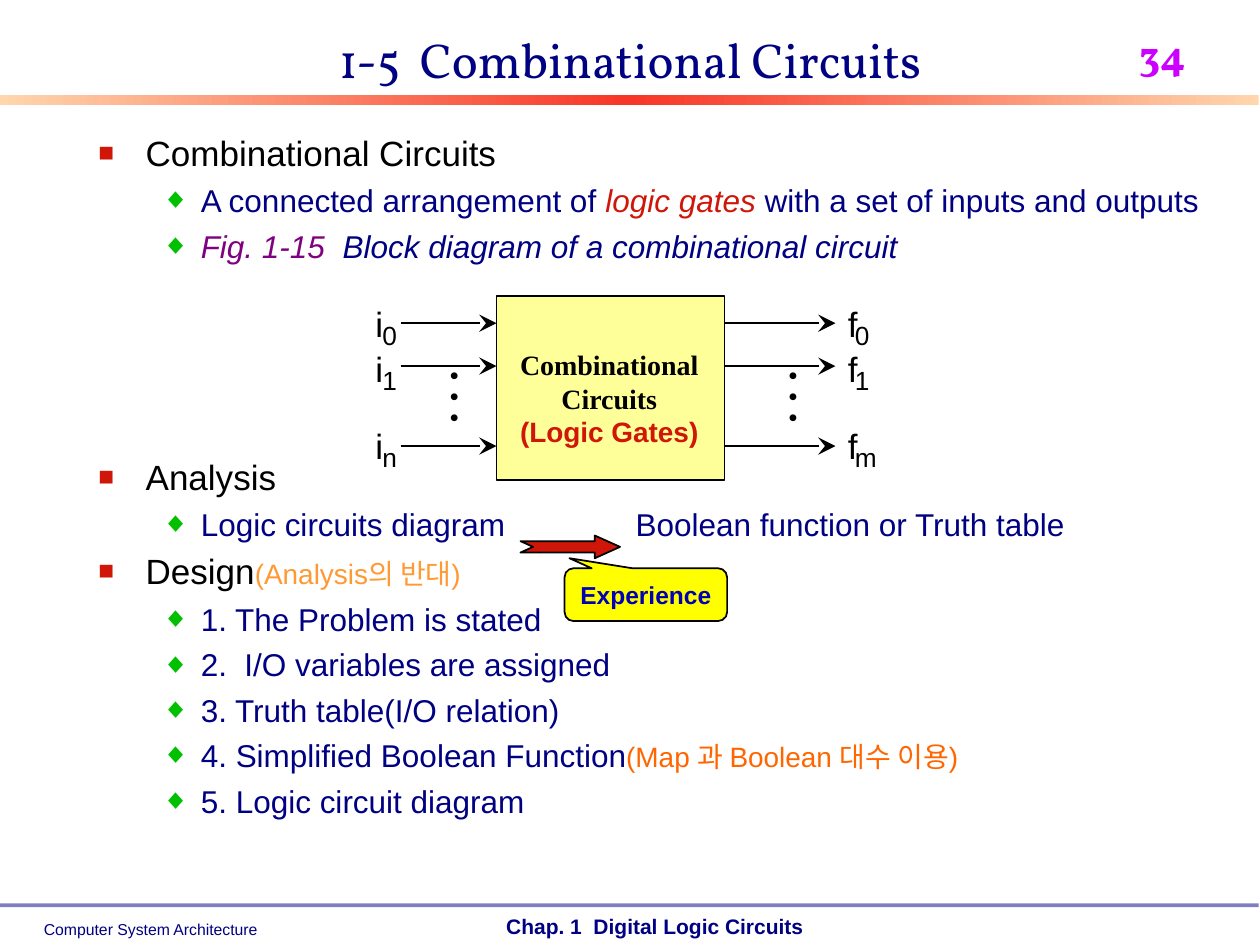
from copy import deepcopy

from lxml import etree
from pptx import Presentation
from pptx import util as u
from pptx.dml.color import RGBColor
from pptx.enum import shapes, text
from pptx.oxml import ns

Pt = u.Pt
NAVY = RGBColor(0x00, 0x00, 0x82)
BLACK = RGBColor(0x00, 0x00, 0x00)
RED = RGBColor(0xD0, 0x16, 0x08)
GREEN = RGBColor(0x00, 0xC0, 0x00)
PURPLE = RGBColor(0x80, 0x00, 0x80)
PINK = RGBColor(0xCC, 0x00, 0xFF)
AMBER = RGBColor(0xFF, 0x99, 0x33)
ORANGE = RGBColor(0xFF, 0x66, 0x00)
CREAM = RGBColor(0xFF, 0xFF, 0x99)
YELLOW = RGBColor(0xFF, 0xFF, 0x00)
BLUE = RGBColor(0x00, 0x00, 0xB6)
PEACH = RGBColor(0xFF, 0xD6, 0xAD)
FLAME = RGBColor(0xF7, 0x36, 0x27)
SERIF, TITLE = "Times New Roman", "Vollkorn"
CENTER = text.PP_ALIGN.CENTER
KIND = shapes.MSO_SHAPE


def put(para, words, size=18, color=NAVY, font="Arial", bold=False, italic=False):
    """Add one formatted run to a paragraph."""
    run = para.add_run()
    run.text = words
    face = run.font
    face.size, face.name, face.bold, face.italic = Pt(size), font, bold, italic
    face.color.rgb = color


def add(parent, tag, **attrs):
    """Append a drawing element to an XML parent."""
    return etree.SubElement(parent, ns.qn(tag), attrs)


class Deck:
    # level: left indent, hanging indent, mark, mark colour, mark size, space before
    LEVELS = [(27, -27, "■", RED, 75, 5), (58.5, -22.5, "◆", GREEN, 90, 4.5)]

    def __init__(self, show):
        self.slide = show.slides.add_slide(show.slide_layouts[1])
        self.items = self.slide.shapes

    def place(self, shape, box):
        shape.left, shape.top, shape.width, shape.height = map(Pt, box)

    def title(self, words, box):
        shape = self.items.title
        self.place(shape, box)
        frame = shape.text_frame
        frame.auto_size = text.MSO_AUTO_SIZE.NONE
        frame.vertical_anchor = text.MSO_ANCHOR.BOTTOM
        para = frame.paragraphs[0]
        para.alignment = CENTER
        put(para, words, size=28, font=TITLE)

    def body(self, rows, box):
        """Fill the list; each row is level, runs, and options gap and tab."""
        shape = self.slide.placeholders[1]
        self.place(shape, box)
        frame = shape.text_frame
        frame.auto_size = text.MSO_AUTO_SIZE.NONE
        for i, (level, runs, extra) in enumerate(rows):
            para = frame.add_paragraph() if i else frame.paragraphs[0]
            left, hang, mark, color, scale, gap = self.LEVELS[level]
            para.level = level
            props = para._p.get_or_add_pPr()
            props.set("marL", str(Pt(left)))
            props.set("indent", str(Pt(hang)))
            add(add(props, "a:buClr"), "a:srgbClr", val=str(color))
            add(props, "a:buSzPct", val=str(scale * 1000))
            add(props, "a:buFont", typeface="Arial")
            add(props, "a:buChar", char=mark)
            if "tab" in extra:
                stops = add(props, "a:tabLst")
                add(stops, "a:tab", pos=str(Pt(extra["tab"])), algn="l")
            para.space_before = Pt(extra.get("gap", gap) if i else 0)
            for words, style in runs:
                put(para, words, **style)

    def label(self, lines, box, wrap=False, align=None, turn=0, **style):
        """Add a text box; each line is words with its own style changes."""
        shape = self.items.add_textbox(*map(Pt, box))
        shape.rotation = turn
        frame = shape.text_frame
        frame.word_wrap = wrap
        for i, (words, change) in enumerate(lines):
            para = frame.add_paragraph() if i else frame.paragraphs[0]
            para.alignment = align
            put(para, words, **{**style, **change})

    def shape(self, kind, box, fill, edge=False, tune=()):
        shape = self.items.add_shape(kind, *map(Pt, box))
        shape.shadow.inherit = False
        shape.fill.solid()
        shape.fill.fore_color.rgb = fill
        if edge:
            shape.line.color.rgb = BLACK
            shape.line.width = Pt(1)
        else:
            shape.line.fill.background()
        for i, value in enumerate(tune):
            shape.adjustments[i] = value
        return shape

    def blend(self, box, colors):
        """Add a bar with evenly spaced gradient colours."""
        shape = self.shape(KIND.RECTANGLE, box, colors[0])
        shape.fill.gradient()
        shape.fill.gradient_angle = 0
        first = shape._element.spPr.find(".//" + ns.qn("a:gs"))
        for _ in colors[2:]:
            first.addnext(deepcopy(first))
        for i, (stop, color) in enumerate(zip(shape.fill.gradient_stops, colors)):
            stop.position = i / (len(colors) - 1)
            stop.color.rgb = color

    def arrow(self, start, end, y):
        line = self.items.add_connector(
            shapes.MSO_CONNECTOR.STRAIGHT, Pt(start), Pt(y), Pt(end), Pt(y))
        line.line.color.rgb = BLACK
        line.line.width = Pt(1)
        add(line.line._get_or_add_ln(), "a:tailEnd", type="stealth", w="lg", len="lg")
        add(line._element.spPr, "a:effectLst")


def main():
    show = Presentation()
    show.slide_width, show.slide_height = Pt(720), Pt(540)
    deck = Deck(show)

    # Header and footer
    deck.blend((0, 54, 719.3, 5.76), [PEACH, FLAME, PEACH])
    deck.label([("Computer System Architecture", {})], (18, 522, 136.8, 18), size=9)
    deck.label([("Chap. 1  Digital Logic Circuits", {})],
               (282.2, 518.4, 184.3, 21.6), size=12, bold=True)
    rule = deck.shape(KIND.RECTANGLE, (0, 516.2, 719.3, 2.16), NAVY)
    add(rule._element.spPr.find(".//" + ns.qn("a:srgbClr")), "a:alpha", val="50000")
    deck.label([("34", {})], (643.7, 13, 76.3, 72.7), wrap=True,
               size=24, font=TITLE, color=PINK, bold=True)

    # Title and list
    deck.title("1-5  Combinational Circuits", (54, 0, 612, 54))
    head = {"size": 20, "color": BLACK}
    deck.body([
        (0, [("Combinational Circuits", head)], {}),
        (1, [("A connected arrangement of ", {}),
             ("logic gates", {"color": RED, "italic": True}),
             (" with a set of inputs and outputs", {})], {}),
        (1, [("Fig. 1-15", {"color": PURPLE, "italic": True}),
             ("  Block diagram of a combinational circuit", {"italic": True})], {}),
        (0, [("Analysis", head)], {"gap": 109}),
        (1, [("Logic circuits diagram\tBoolean function or Truth table", {})],
         {"tab": 307}),
        (0, [("Design", head),
             ("(Analysis의 반대)", {"size": 16, "color": AMBER})], {"gap": 4}),
        (1, [("1. The Problem is stated", {})], {}),
        (1, [("2.  I/O variables are assigned", {})], {}),
        (1, [("3. Truth table(I/O relation)", {})], {}),
        (1, [("4. Simplified Boolean Function", {}),
             ("(Map 과 Boolean 대수 이용)", {"size": 16, "color": ORANGE})],
         {"gap": 4}),
        (1, [("5. Logic circuit diagram", {})], {}),
    ], (49, 71.3, 648.7, 441.4))

    # Logic block
    deck.shape(KIND.RECTANGLE, (283.7, 169.2, 130.3, 105.1), CREAM, edge=True)
    deck.label([("Combinational", {}), ("Circuits", {}),
                ("(Logic Gates)", {"font": "Arial", "color": RED})],
               (283.2, 195.1, 130, 64.8), wrap=True, align=CENTER,
               size=16, font=SERIF, color=BLACK, bold=True)

    # Inputs and outputs: label left, label width, last index, arrow span, dots left
    sides = [("i", 207.4, 18.7, "n", 229, 283.7, 216.6),
             ("f", 477.4, 20.2, "m", 414, 477.4, 410.3)]
    for name, left, width, last, start, end, dots in sides:
        for sub, top, y in (("0", 169.2, 184.7), ("1", 195.1, 209.2),
                            (last, 239, 254.9)):
            deck.label([(name, {})], (left, top, width, 31), size=20, color=BLACK)
            deck.label([(sub, {})], (left + 4, top + 9.4, 22.3, 25.2),
                       size=15, color=BLACK)
            deck.arrow(start, end, y)
        deck.label([(". . .", {})], (dots, 208.8, 70, 36), wrap=True, align=CENTER,
                   turn=270, size=24, font=SERIF, color=BLACK, bold=True)

    # Arrow and callout
    deck.shape(KIND.NOTCHED_RIGHT_ARROW, (297.4, 306, 56.9, 13), RED,
               edge=True, tune=(0.5, 1.11))
    note = deck.shape(KIND.ROUNDED_RECTANGULAR_CALLOUT, (322.6, 324.7, 92.9, 30.2),
                      YELLOW, edge=True, tune=(-0.47, -0.69, 0.17))
    frame = note.text_frame
    frame.word_wrap = False
    frame.vertical_anchor = text.MSO_ANCHOR.MIDDLE
    frame.paragraphs[0].alignment = CENTER
    put(frame.paragraphs[0], "Experience", size=14, color=BLUE, bold=True)

    show.save("out.pptx")


if __name__ == "__main__":
    main()
